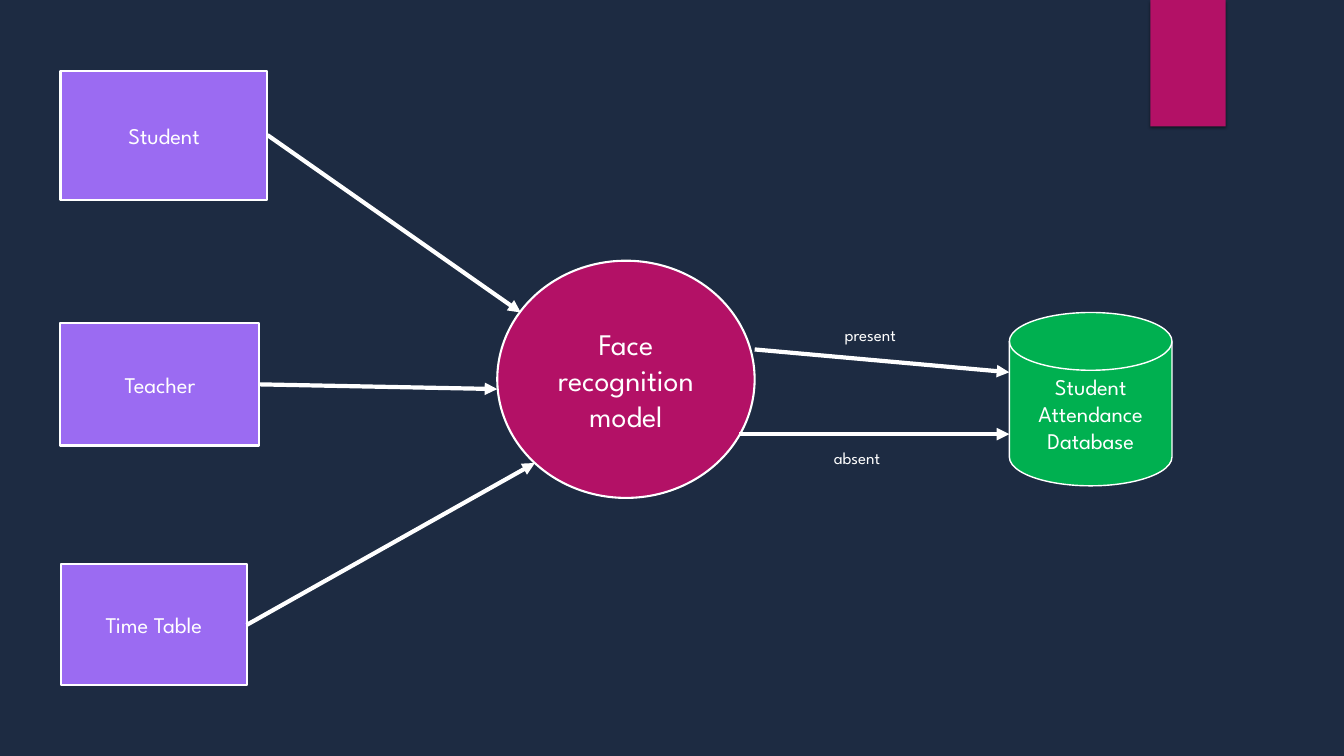
"""Build the data flow slide of a face recognition attendance system."""
from lxml.etree import SubElement
from pptx import Presentation
from pptx.dml.color import RGBColor
from pptx.enum.shapes import MSO_CONNECTOR, MSO_SHAPE
from pptx.enum.text import MSO_ANCHOR, MSO_AUTO_SIZE, PP_ALIGN
from pptx.oxml import parse_xml
from pptx.oxml.ns import nsdecls, qn
from pptx.util import Inches, Pt

THEME = {
    "font": "League Spartan", "back": "1D2B42", "ink": "FFFFFF",
    "main": "B31166", "input": "9B6BF2", "store": "00B050",
    "large": 32, "body": 24, "small": 18,
    "edge": 2.25, "thin": 1.5, "arrow": 4.5,
}
RECT, ROUND = MSO_SHAPE.RECTANGLE, MSO_SHAPE.ROUNDED_RECTANGLE

TAB = (17.12, 0, 1.12, 1.88)
MODEL = ("Face recognition model", MSO_SHAPE.OVAL, (7.4, 3.88, 3.83, 3.53))
STORE = ("Student Attendance Database", MSO_SHAPE.FLOWCHART_MAGNETIC_DISK,
         (15.02, 4.65, 2.42, 2.58))
INPUTS = [
    ("Student", ROUND, (0.9, 1.05, 3.08, 1.92), (7.75, 4.65)),
    ("Teacher", RECT, (0.9, 4.81, 2.96, 1.82), (7.4, 5.79)),
    ("Time Table", ROUND, (0.91, 8.4, 2.76, 1.8), (7.96, 6.89)),
]
OUTPUTS = [
    ("present", (12.47, 4.79, 1.17, 0.4), (11.23, 5.2), (15.02, 5.54)),
    ("absent", (12.31, 6.62, 1.18, 0.4), (11, 6.46), (15.02, 6.46)),
]


def color(name):
    return RGBColor.from_string(THEME[name])


def write(shape, text, size):
    frame = shape.text_frame
    frame.text = text
    frame.word_wrap = True
    font = frame.paragraphs[0].runs[0].font
    font.name, font.size = THEME["font"], Pt(THEME[size])
    font.color.rgb = color("ink")
    return frame


def block(slide, kind, area, fill):
    shape = slide.shapes.add_shape(kind, *map(Inches, area))
    shape.shadow.inherit = False
    shape.fill.solid()
    shape.fill.fore_color.rgb = color(fill)
    if kind == ROUND:
        shape.adjustments[0] = 0
    return shape


def node(slide, text, kind, area, fill, size="body", edge="edge"):
    shape = block(slide, kind, area, fill)
    shape.line.color.rgb = color("ink")
    shape.line.width = Pt(THEME[edge])
    frame = write(shape, text, size)
    frame.vertical_anchor = MSO_ANCHOR.MIDDLE
    frame.paragraphs[0].alignment = PP_ALIGN.CENTER
    return shape


def arrow(slide, start, end):
    link = slide.shapes.add_connector(
        MSO_CONNECTOR.STRAIGHT, *map(Inches, (*start, *end)))
    link.line.color.rgb = color("ink")
    link.line.width = Pt(THEME["arrow"])
    SubElement(link.line._get_or_add_ln(), qn("a:tailEnd"), type="triangle")
    SubElement(link._element.spPr, qn("a:effectLst"))
    return link


def label(slide, text, area):
    box = slide.shapes.add_textbox(*map(Inches, area))
    write(box, text, "small").auto_size = MSO_AUTO_SIZE.SHAPE_TO_FIT_TEXT


def corner(slide):
    tab = block(slide, RECT, TAB, "main")
    tab.line.fill.background()
    effects = tab._element.spPr.find(qn("a:effectLst"))
    effects.append(parse_xml(
        f'<a:outerShdw {nsdecls("a")} blurRad="{Pt(3)}" dist="{Pt(2)}" '
        'dir="5400000" rotWithShape="0"><a:srgbClr val="000000">'
        '<a:alpha val="45000"/></a:srgbClr></a:outerShdw>'))


def main():
    deck = Presentation()
    deck.slide_width, deck.slide_height = Inches(20), Inches(11.25)
    slide = deck.slides.add_slide(deck.slide_layouts[6])
    slide.background.fill.solid()
    slide.background.fill.fore_color.rgb = color("back")

    corner(slide)
    node(slide, *MODEL, "main", size="large")
    node(slide, *STORE, "store", edge="thin")
    for text, kind, area, end in INPUTS:
        box = node(slide, text, kind, area, "input")
        left, top, width, height = area
        link = arrow(slide, (left + width, top + height / 2), end)
        link.begin_connect(box, 3)
    for text, area, start, end in OUTPUTS:
        arrow(slide, start, end)
        label(slide, text, area)
    deck.save("out.pptx")


if __name__ == "__main__":
    main()
